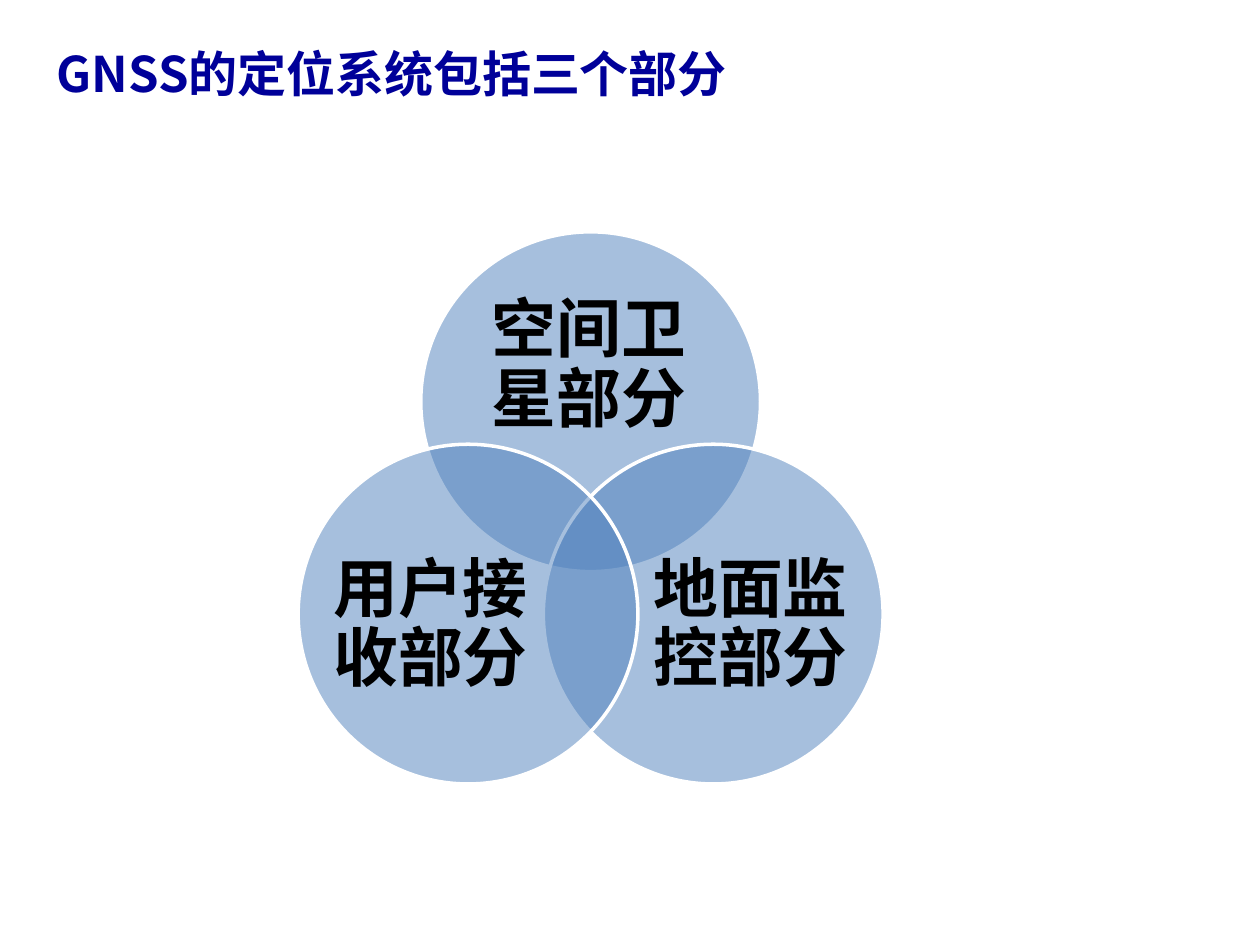
from math import cos, radians, sin

from lxml.etree import SubElement
from pptx import Presentation
from pptx.dml.color import RGBColor
from pptx.enum.shapes import MSO_SHAPE
from pptx.enum.text import MSO_ANCHOR, MSO_AUTO_SIZE, PP_ALIGN
from pptx.oxml.ns import qn
from pptx.util import Pt

COLORS = {"title": "000099", "circle": "4F81BD", "outline": "FFFFFF", "label": "000000"}
TITLE_FONT = "Noto Sans CJK SC"
LABEL_FONT = "Calibri"

# Part, angle from the hub, label box (left, top, width, height) in circle diameters
PARTS = [
    ("空间卫星部分", -90, (0.13, 0.17, 0.73, 0.45)),
    ("地面监控部分", 30, (0.31, 0.26, 0.6, 0.55)),
    ("用户接收部分", 150, (0.09, 0.26, 0.6, 0.55)),
]


def color(name):
    return RGBColor.from_string(COLORS[name])


def format_run(run, font, size, color_name):
    run.font.name = font
    run.font.size = Pt(size)
    run.font.bold = True
    run.font.color.rgb = color(color_name)


def place(shape, left, top, width, height):
    shape.left, shape.top, shape.width, shape.height = map(Pt, (left, top, width, height))


def add_title(slide, box, text):
    title = slide.shapes.title
    place(title, *box)
    frame = title.text_frame
    frame.text = text
    frame.word_wrap = False
    frame.auto_size = MSO_AUTO_SIZE.SHAPE_TO_FIT_TEXT
    frame.vertical_anchor = MSO_ANCHOR.TOP
    heading = frame.paragraphs[0]
    heading.alignment = PP_ALIGN.LEFT
    run = heading.runs[0]
    format_run(run, TITLE_FONT, 28, "title")
    SubElement(run.font._element, qn("a:ea"), typeface=TITLE_FONT)


def add_circle(slide, left, top, diameter):
    circle = slide.shapes.add_shape(
        MSO_SHAPE.OVAL, Pt(left), Pt(top), Pt(diameter), Pt(diameter))
    circle.shadow.inherit = False
    circle.fill.solid()
    circle.fill.fore_color.rgb = color("circle")
    fill_color = circle._element.spPr.find(qn("a:solidFill"))[0]
    SubElement(fill_color, qn("a:alpha"), val="50000")
    circle.line.color.rgb = color("outline")
    circle.line.width = Pt(2)


def add_label(slide, box, text):
    frame = slide.shapes.add_textbox(*map(Pt, box)).text_frame
    frame.text = text
    frame.word_wrap = True
    frame.vertical_anchor = MSO_ANCHOR.MIDDLE
    frame.margin_left = frame.margin_right = frame.margin_top = frame.margin_bottom = 0
    label = frame.paragraphs[0]
    label.alignment = PP_ALIGN.CENTER
    label.line_spacing = 0.9
    format_run(label.runs[0], LABEL_FONT, 37, "label")


def add_venn(slide, box):
    left, top, width, height = box
    # Hub to circle centre is 5/12 of a diameter, so the height is 1.625 diameters
    diameter = height / 1.625
    reach = diameter * 5 / 12
    hub_x = left + width / 2
    hub_y = top + diameter / 2 + reach
    for text, angle, (dx, dy, w, h) in PARTS:
        x = hub_x + reach * cos(radians(angle)) - diameter / 2
        y = hub_y + reach * sin(radians(angle)) - diameter / 2
        add_circle(slide, x, y, diameter)
        add_label(slide, (x + dx * diameter, y + dy * diameter,
                          w * diameter, h * diameter), text)


def main():
    deck = Presentation()
    deck.slide_width, deck.slide_height = Pt(720), Pt(540)
    slide = deck.slides.add_slide(deck.slide_layouts[5])  # Title Only
    add_venn(slide, (170, 132.5, 335, 315.5))
    add_title(slide, (25.2, 21, 405.4, 41), "GNSS的定位系统包括三个部分")
    deck.save("out.pptx")


if __name__ == "__main__":
    main()
